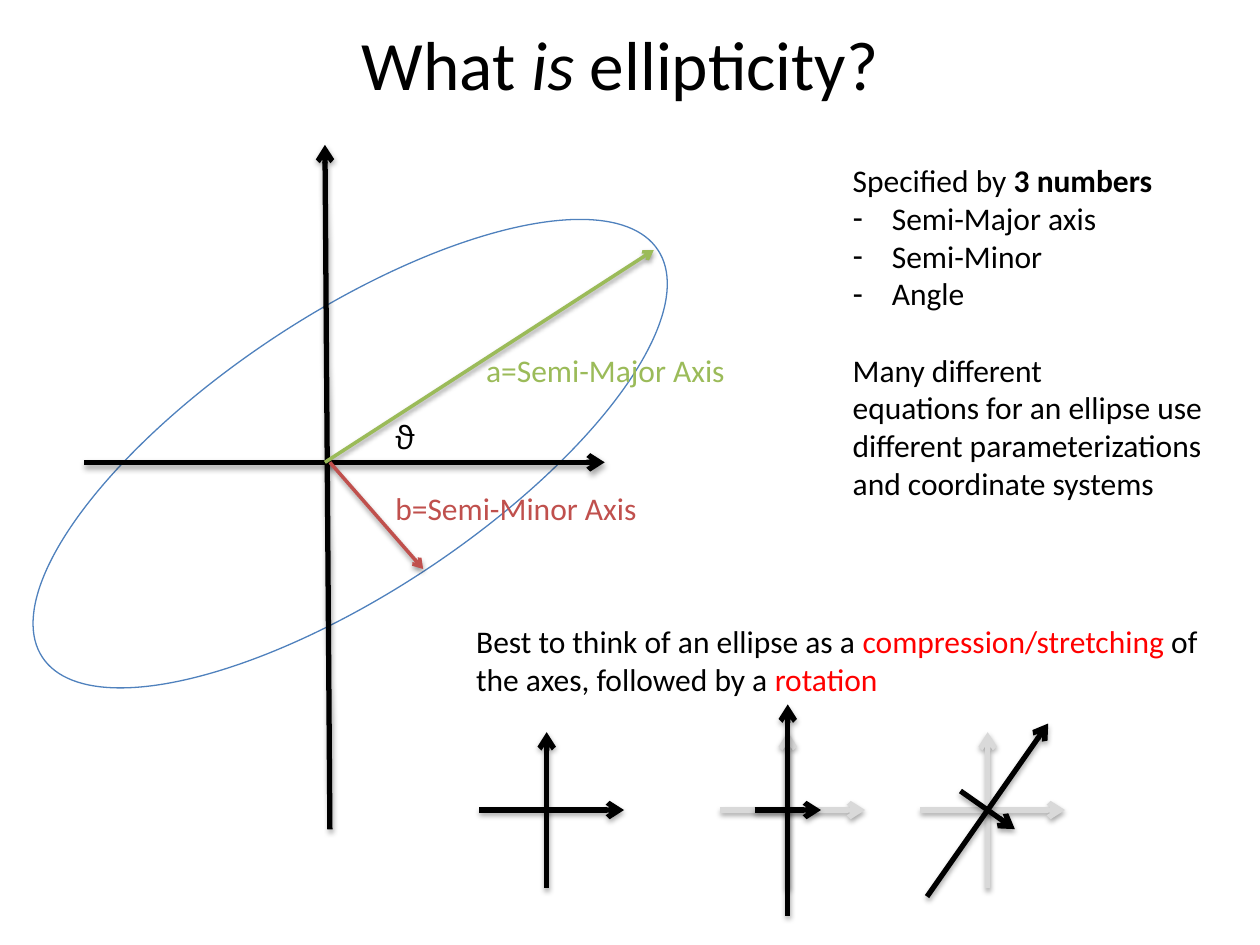
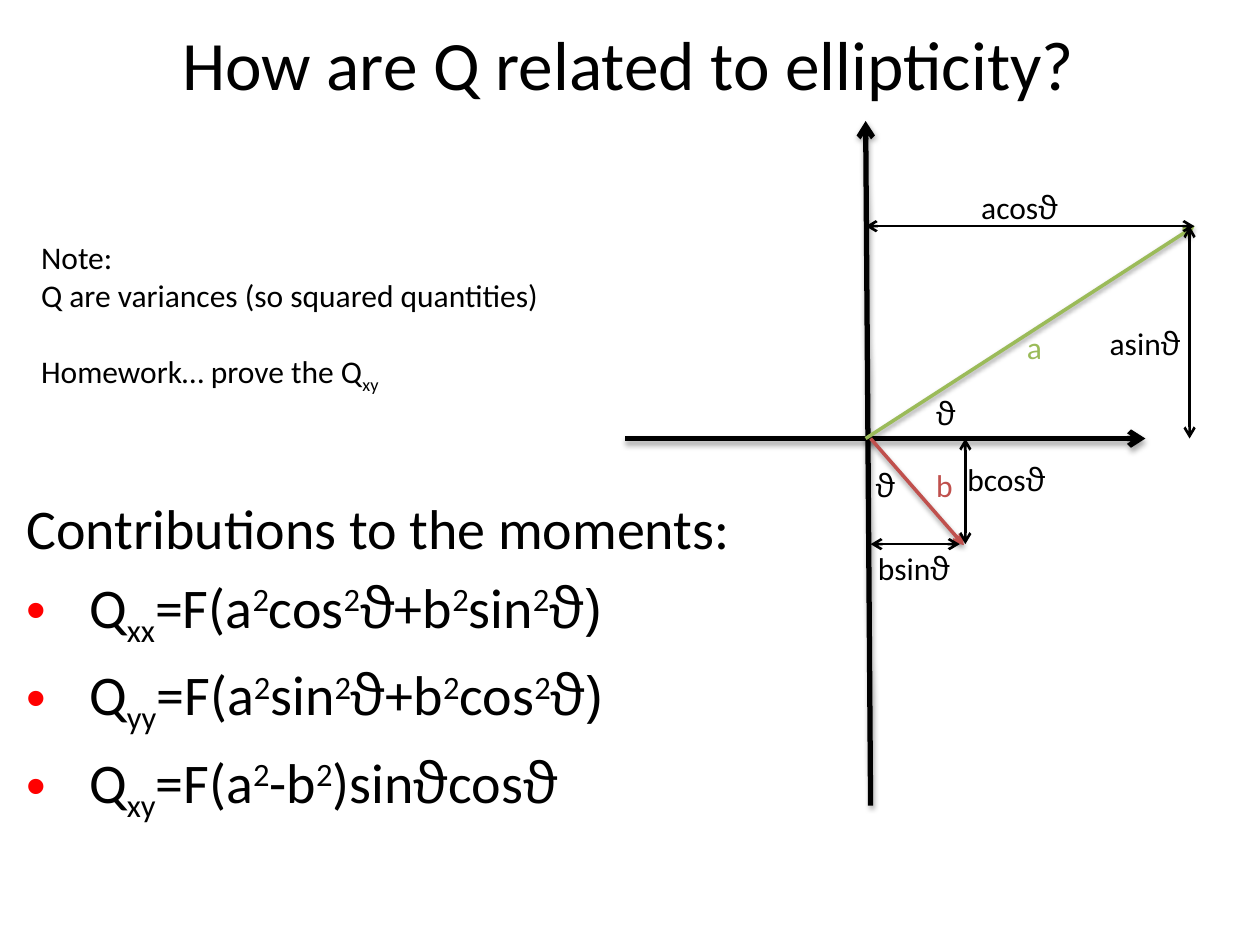
import math

import pptx
import pptx.dml.color
import pptx.enum.shapes
import pptx.enum.text
import pptx.oxml
import pptx.oxml.ns
import pptx.util
from lxml import etree

Cm, Pt = pptx.util.Cm, pptx.util.Pt

# Shared look
BLACK, WHITE, RED, GREY = "000000", "FFFFFF", "FF0000", "D9D9D9"
MAJOR, MINOR, OUTLINE = "9BBB59", "C0504D", "4F81BD"
BODY_FONT, SYMBOL_FONT = "Calibri", "Open Sans"
TITLE_BOX = (0.28, 0.23, 24.77, 2.08)
LINE_HEIGHT = 1.02

RUN_STYLES = {
    "plain": {},
    "italic": {"italic": True},
    "bold": {"bold": True},
    "red": {"color": RED},
    "sub": {"baseline": -25},
    "sup": {"baseline": 30},
    "theta": {"font": SYMBOL_FONT},
}


def formula(source):
    """Split on spaces: _x is a subscript, ^x a superscript, ϑ takes the symbol font."""
    runs = []
    for token in source.split():
        if token[0] in "_^":
            runs.append((token[1:], "sub" if token[0] == "_" else "sup"))
        else:
            runs.append((token, "theta" if token[0] == "ϑ" else "plain"))
    return runs


# Content: a paragraph is a list of (words, style)
ELLIPTICITY_TITLE = [("What ", "plain"), ("is", "italic"), (" ellipticity? ", "plain")]
THREE_NUMBERS = [("Specified by ", "plain"), ("3 numbers", "bold")]
NUMBERS = ["Semi-Major axis", "Semi-Minor", "Angle"]
EQUATIONS = ["Many different", "equations for an ellipse use",
             "different parameterizations", "and coordinate systems"]
BEST_VIEW = [
    [("Best to think of an ellipse as a ", "plain"),
     ("compression/stretching ", "red"), ("of", "plain")],
    [("the axes, followed by a ", "plain"), ("rotation", "red")],
]
MOMENTS_TITLE = "How are Q related to ellipticity?"
VARIANCE_NOTE = ["Note:", "Q are variances (so squared quantities)"]
HOMEWORK = [("Homework… prove the Q", "plain"), ("xy", "sub")]
MOMENTS_HEADING = "Contributions to the moments:"
MOMENTS = [
    formula("Q _xx =F(a ^2 cos ^2 ϑ +b ^2 sin ^2 ϑ)"),
    formula("Q _yy =F(a ^2 sin ^2 ϑ +b ^2 cos ^2 ϑ)"),
    formula("Q _xy =F(a ^2 -b ^2 )sin ϑ cos ϑ"),
]

# Projections, in cm from the origin: label, label left, top, width, arrow start, arrow end
PROJECTIONS = [
    ("bsin ϑ", 0, 2.11, 1.98, (0.1, 2.13), (1.9, 2.13)),
    ("acos ϑ", 2.08, -5.18, 2.08, (0, -4.28), (6.63, -4.28)),
    ("asin ϑ", 4.67, -2.44, 1.96, (6.53, 0), (6.53, -4.28)),
    ("bcos ϑ", 1.8, 0.3, 2.11, (2.01, 2.13), (2.01, 0)),
]


def rgb(value):
    return pptx.dml.color.RGBColor.from_string(value)


def add_runs(paragraph, content, size, color):
    runs = [(content, "plain")] if isinstance(content, str) else content
    for words, style_name in runs:
        style = RUN_STYLES[style_name]
        run = paragraph.add_run()
        run.text = words
        run.font.name = style.get("font", BODY_FONT)
        run.font.size = Pt(size)
        run.font.bold = style.get("bold", False)
        run.font.italic = style.get("italic", False)
        run.font.color.rgb = rgb(style.get("color", color))
        if "baseline" in style:
            run.font._element.set("baseline", str(style["baseline"] * 1000))


def add_bullet(paragraph, symbol, indent, color):
    properties = paragraph._p.get_or_add_pPr()
    properties.set("marL", str(Cm(indent)))
    properties.set("indent", str(-Cm(indent)))
    bullet_color = etree.SubElement(properties, pptx.oxml.ns.qn("a:buClr"))
    etree.SubElement(bullet_color, pptx.oxml.ns.qn("a:srgbClr"), val=color)
    etree.SubElement(properties, pptx.oxml.ns.qn("a:buFont"), typeface="Arial")
    etree.SubElement(properties, pptx.oxml.ns.qn("a:buChar"), char=symbol)


def add_text(slide, box, paragraphs, size=18, color=BLACK, wrap=False, bullet=None,
             bullet_color=BLACK, indent=0.79, bulleted=(), gap=0, gap_before=()):
    frame = slide.shapes.add_textbox(*map(Cm, box)).text_frame
    frame.word_wrap = wrap
    if not wrap:
        frame.auto_size = pptx.enum.text.MSO_AUTO_SIZE.SHAPE_TO_FIT_TEXT
    for index, content in enumerate(paragraphs):
        paragraph = frame.add_paragraph() if index else frame.paragraphs[0]
        if index in bulleted:
            add_bullet(paragraph, bullet, indent, bullet_color)
        if index in gap_before:
            paragraph.space_before = Pt(gap)
        add_runs(paragraph, content, size, color)


def add_line(slide, start, end, color=BLACK, width=3, both_ends=False, shadow=None):
    """Arrow from start to end; shadow is (opacity %, distance pt)."""
    line = slide.shapes.add_connector(
        pptx.enum.shapes.MSO_CONNECTOR.STRAIGHT, *map(Cm, (*start, *end)))
    line.line.color.rgb = rgb(color)
    line.line.width = Pt(width)
    outline = line.line._get_or_add_ln()
    for name in ("a:headEnd", "a:tailEnd") if both_ends else ("a:tailEnd",):
        etree.SubElement(outline, pptx.oxml.ns.qn(name), type="arrow")
    effects = etree.SubElement(line._element.spPr, pptx.oxml.ns.qn("a:effectLst"))
    if shadow:
        opacity, distance = shadow
        cast = etree.SubElement(
            effects, pptx.oxml.ns.qn("a:outerShdw"), blurRad=str(Pt(3.1)),
            dist=str(Pt(distance)), dir="5400000", rotWithShape="0")
        tint = etree.SubElement(cast, pptx.oxml.ns.qn("a:srgbClr"), val=BLACK)
        etree.SubElement(tint, pptx.oxml.ns.qn("a:alpha"), val=str(opacity * 1000))


def add_slide(deck, title):
    slide = deck.slides.add_slide(deck.slide_layouts[5])
    heading = slide.shapes.title
    heading.left, heading.top, heading.width, heading.height = map(Cm, TITLE_BOX)
    frame = heading.text_frame
    frame.auto_size = pptx.enum.text.MSO_AUTO_SIZE.NONE
    frame.vertical_anchor = pptx.enum.text.MSO_ANCHOR.MIDDLE
    frame.paragraphs[0].alignment = pptx.enum.text.PP_ALIGN.CENTER
    add_runs(frame.paragraphs[0], title, 39.6, BLACK)
    return slide


def add_ellipse_axes(slide, origin, a_label, b_label, a_width, b_width):
    """Coordinate axes with the semi-axes a and b; returns a shift from the origin."""
    def at(x, y):
        return origin[0] + x, origin[1] + y

    for start, end, color, width, shadow in [
        ((0.1, 7.4), (0, -6.4), BLACK, 3, (35, 1.8)),
        ((-4.85, 0), (5.64, 0), BLACK, 3, (35, 1.8)),
        ((0, 0), (6.63, -4.28), MAJOR, 2, (38, 1.6)),
        ((0.1, 0), (1.98, 2.15), MINOR, 2, (38, 1.6)),
    ]:
        add_line(slide, at(*start), at(*end), color, width, shadow=shadow)
    add_text(slide, (*at(1.17, 0.42), b_width, LINE_HEIGHT), [b_label], color=MINOR)
    add_text(slide, (*at(3, -2.36), a_width, LINE_HEIGHT), [a_label], color=MAJOR)
    add_text(slide, (*at(1.17, -1.02), 0.91, LINE_HEIGHT), [[("ϑ", "theta")]])
    return at


def add_small_axes(slide, center_x, left=1.36, right=1.56, reach=1.57, angle=0,
                   color=BLACK, center_y=16.33):
    cos, sin = math.cos(math.radians(angle)), math.sin(math.radians(angle))

    def turned(x, y):
        return center_x + x * cos - y * sin, center_y + x * sin + y * cos

    add_line(slide, turned(0, reach), turned(0, -reach), color, shadow=(35, 1.8))
    add_line(slide, turned(-left, 0), turned(right, 0), color, shadow=(35, 1.8))


def build_ellipticity(deck):
    slide = add_slide(deck, ELLIPTICITY_TITLE)

    # Tilted ellipse under its axes
    ellipse = slide.shapes.add_shape(pptx.enum.shapes.MSO_SHAPE.OVAL,
                                     *map(Cm, (-0.38, 6.35, 14.88, 5.59)))
    ellipse.rotation = 326.5
    ellipse.shadow.inherit = False
    ellipse.fill.solid()
    ellipse.fill.fore_color.rgb = rgb(WHITE)
    ellipse.line.color.rgb = rgb(OUTLINE)
    ellipse.line.width = Pt(0.75)
    add_ellipse_axes(slide, (6.55, 9.32), "a=Semi-Major Axis", "b=Semi-Minor Axis",
                     5.44, 5.44)

    # Explanations
    add_text(slide, (16.94, 3.12, 7.67, 8.71), [THREE_NUMBERS, *NUMBERS, *EQUATIONS],
             bullet="-", bulleted=range(1, 4), gap=22, gap_before=(4,))
    add_text(slide, (9.35, 12.42, 15.29, 1.8), BEST_VIEW)

    # Unit axes, then stretched, then rotated
    unit, stretched, rotated = 11.02, 15.88, 19.91
    stretch = {"left": 0.67, "right": 0.67, "reach": 2.13}
    for center_x in (stretched, rotated):
        add_small_axes(slide, center_x, color=GREY)
    add_small_axes(slide, unit)
    add_small_axes(slide, stretched, **stretch)
    add_small_axes(slide, rotated, angle=35, **stretch)


def build_moments(deck):
    slide = add_slide(deck, MOMENTS_TITLE)

    # Moments and note
    add_text(slide, (0.28, 9.83, 24.77, 7.92), [MOMENTS_HEADING, *MOMENTS], size=32,
             wrap=True, bullet="•", bullet_color=RED, indent=1.27,
             bulleted=range(1, 4), gap=6.4, gap_before=range(1, 4))
    add_text(slide, (0.58, 4.67, 10.67, 3.33), [*VARIANCE_NOTE, HOMEWORK],
             gap=22, gap_before=(2,))

    # Axes with the projections of a and b
    at = add_ellipse_axes(slide, (17.45, 8.84), "a", "b", 0.81, 0.84)
    add_text(slide, (*at(-0.05, 0.42), 0.91, LINE_HEIGHT), [[("ϑ", "theta")]])
    for label, left, top, width, start, end in PROJECTIONS:
        add_text(slide, (*at(left, top), width, 1.8), [formula(label)])
        add_line(slide, at(*start), at(*end), width=1.5, both_ends=True)


def main():
    deck = pptx.Presentation()
    deck.slide_width, deck.slide_height = Cm(25.4), Cm(19.05)
    build_ellipticity(deck)
    build_moments(deck)
    deck.save("out.pptx")


if __name__ == "__main__":
    main()
